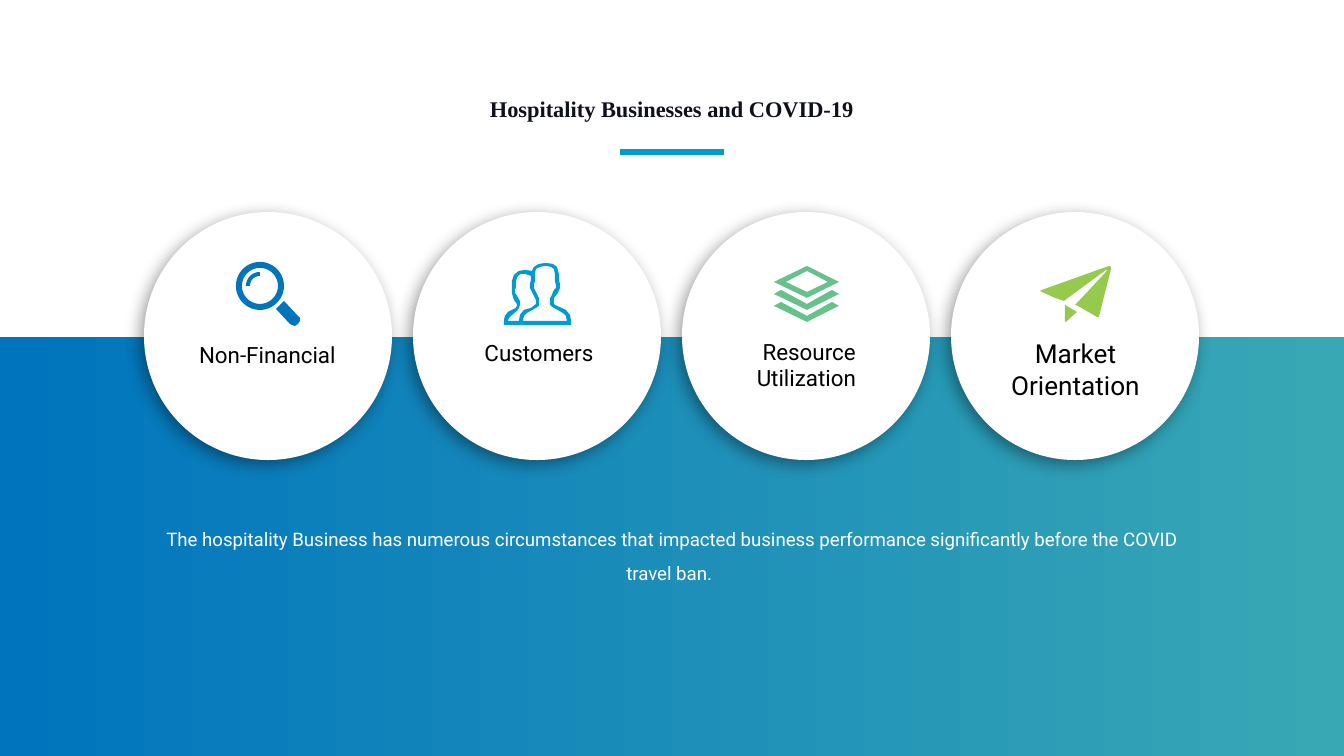
from math import cos, radians, sin

from lxml.etree import SubElement
from pptx import Presentation
from pptx.dml.color import RGBColor
from pptx.enum.shapes import MSO_CONNECTOR as Connector, MSO_SHAPE as Shape
from pptx.enum.text import PP_ALIGN as Align
from pptx.oxml.ns import qn
from pptx.util import Pt

PX = 914400 / 134.4  # EMU in one px
THEME = {
    "white": "FFFFFF", "black": "000000", "ink": "0E101A",
    "blue": "0074BD", "cyan": "009BCF", "teal": "38A8B5",
    "mint": "67C18B", "lime": "96CA4F",
    "title": 12, "body": 10, "label": 12, "label_large": 14,
    "font": "Roboto", "title_font": "Times New Roman",
}


def px(*lengths):
    return [round(length * PX) for length in lengths]


def add_text(box, words, size, color, font=THEME["font"], bold=False, spacing=None, insets=None):
    frame = slide.shapes.add_textbox(*px(*box)).text_frame
    frame.word_wrap = True
    if insets:
        frame.margin_left, frame.margin_top = px(*insets)
        frame.margin_right, frame.margin_bottom = px(*insets)
    paragraph = frame.paragraphs[0]
    paragraph.alignment = Align.CENTER
    paragraph.line_spacing = spacing
    run = paragraph.add_run()
    run.text = words
    run.font.name = font
    run.font.size = Pt(THEME[size])
    run.font.bold = bold
    run.font.color.rgb = RGBColor.from_string(THEME[color])


presentation = Presentation()
presentation.slide_width, presentation.slide_height = px(1344, 756)
slide = presentation.slides.add_slide(presentation.slide_layouts[6])

# Gradient band
band = slide.shapes.add_shape(Shape.RECTANGLE, *px(0, 337, 1344, 419))
band.shadow.inherit = False
band.line.fill.background()
band.fill.gradient()
band.fill.gradient_angle = 0
for stop, color in zip(band.fill.gradient_stops, ("blue", "teal")):
    stop.color.rgb = RGBColor.from_string(THEME[color])

# Title and its rule
add_text((426, 63, 492, 65), "Hospitality Businesses and COVID-19", "title", "ink",
         THEME["title_font"], bold=True, spacing=2.0, insets=(9, 5))
rule = slide.shapes.add_connector(Connector.STRAIGHT, *px(620, 152, 724, 152))
rule.line.color.rgb = RGBColor.from_string(THEME["cyan"])
rule.line.width = Pt(3)
SubElement(rule._element.spPr, qn("a:effectLst"))

# Summary
add_text((144, 512, 1055, 176),
         "The hospitality Business has numerous circumstances that impacted business "
         "performance significantly before the COVID travel ban. ",
         "body", "white", spacing=1.5, insets=(9, 5))

# Circles with a soft shadow
for column in reversed(range(4)):
    circle = slide.shapes.add_shape(Shape.OVAL, *px(144 + 269 * column, 212, 248, 248))
    circle.fill.solid()
    circle.fill.fore_color.rgb = RGBColor.from_string(THEME["white"])
    circle.line.fill.background()
    circle.shadow.inherit = False
    effects = circle._element.spPr.find(qn("a:effectLst"))
    shadow = SubElement(effects, qn("a:outerShdw"), blurRad=str(Pt(9)), dist=str(Pt(3)),
                        dir=str(135 * 60000), algn="ctr", rotWithShape="0")
    shade = SubElement(shadow, qn("a:srgbClr"), val=THEME["black"])
    SubElement(shade, qn("a:alpha"), val="40000")

# Icon outlines: each is a list of contours, inner ones cut holes
lens_rings = [
    [(260 + radius * cos(radians(angle)), 286 + radius * sin(radians(angle)))
     for angle in range(0, 360, 6)]
    for radius in (24, 18)
]
glint = [
    (260 + radius * cos(radians(angle)), 286 + radius * sin(radians(angle)))
    for radius, angles in ((14, range(180, 271, 10)), (10, range(270, 179, -10)))
    for angle in angles
]
handle = [(284, 301), (276, 309), (290, 324), (292, 325), (295, 326), (298, 324),
          (300, 321), (300, 318), (298, 316)]
magnifier = [*lens_rings, glint, handle]

people = [
    # Shared silhouette
    [(504, 325), (504, 320), (505, 316), (508, 312), (516, 308), (517, 306), (517, 304),
     (514, 300), (513, 297), (512, 293), (512, 281), (514, 275), (519, 271), (525, 270),
     (532, 271), (534, 267), (539, 264), (546, 263), (553, 264), (557, 267), (559, 274),
     (559, 280), (560, 284), (560, 288), (558, 293), (554, 298), (554, 304), (555, 305),
     (566, 310), (570, 315), (571, 320), (571, 325)],
    # Inside of the person behind
    [(520, 305), (520, 301), (516, 294), (515, 293), (515, 289), (516, 288), (516, 281),
     (518, 276), (521, 274), (525, 274), (531, 276), (531, 280), (530, 284), (530, 288),
     (531, 290), (533, 294), (535, 298), (536, 300), (536, 304), (535, 305), (531, 308),
     (524, 310), (520, 315), (519, 321), (508, 321), (509, 318), (511, 316), (517, 311),
     (519, 308)],
    # Inside of the person in front
    [(535, 274), (536, 269), (540, 267), (546, 266), (551, 267), (554, 269), (555, 274),
     (555, 282), (556, 284), (556, 288), (554, 290), (551, 297), (550, 298), (550, 304),
     (551, 306), (554, 308), (563, 313), (566, 316), (567, 321), (523, 321), (524, 316),
     (527, 313), (536, 308), (539, 306), (539, 298), (537, 294), (535, 290), (534, 288),
     (534, 284), (535, 282)],
]

layers = [
    [(839, 282), (807, 266), (774, 282), (807, 298)],
    [(807, 271), (828, 282), (807, 292), (786, 282)],
]
for drop in (0, 12):
    layers.append([(x, y + drop) for x, y in (
        (832, 290), (839, 294), (807, 310), (774, 294), (781, 290), (807, 304))])

paper_plane = [
    [(1109, 266), (1042, 290), (1040, 291), (1042, 292), (1055, 298), (1064, 301),
     (1106, 270), (1107, 271), (1078, 302), (1075, 305), (1078, 306), (1097, 317),
     (1099, 317), (1111, 269), (1111, 267)],
    [(1065, 322), (1066, 322), (1077, 312), (1065, 305)],
]

# Icons with their labels
topics = [
    (magnifier, "blue", "Non-Financial", (185, 335, 165, 77), "label"),
    (people, "cyan", "Customers", (465, 333, 148, 77), "label"),
    (layers, "mint", " Resource Utilization", (714, 331, 185, 77), "label"),
    (paper_plane, "lime", "Market Orientation", (985, 331, 181, 77), "label_large"),
]
for contours, color, label, box, size in topics:
    builder = slide.shapes.build_freeform(*px(*contours[0][0]), scale=1.0)
    for index, contour in enumerate(contours):
        if index:
            builder.move_to(*px(*contour[0]))
        builder.add_line_segments([px(*point) for point in contour[1:]], close=True)
    icon = builder.convert_to_shape()
    icon.shadow.inherit = False
    icon.fill.solid()
    icon.fill.fore_color.rgb = RGBColor.from_string(THEME[color])
    icon.line.fill.background()
    add_text(box, label, size, "black")

presentation.save("out.pptx")
